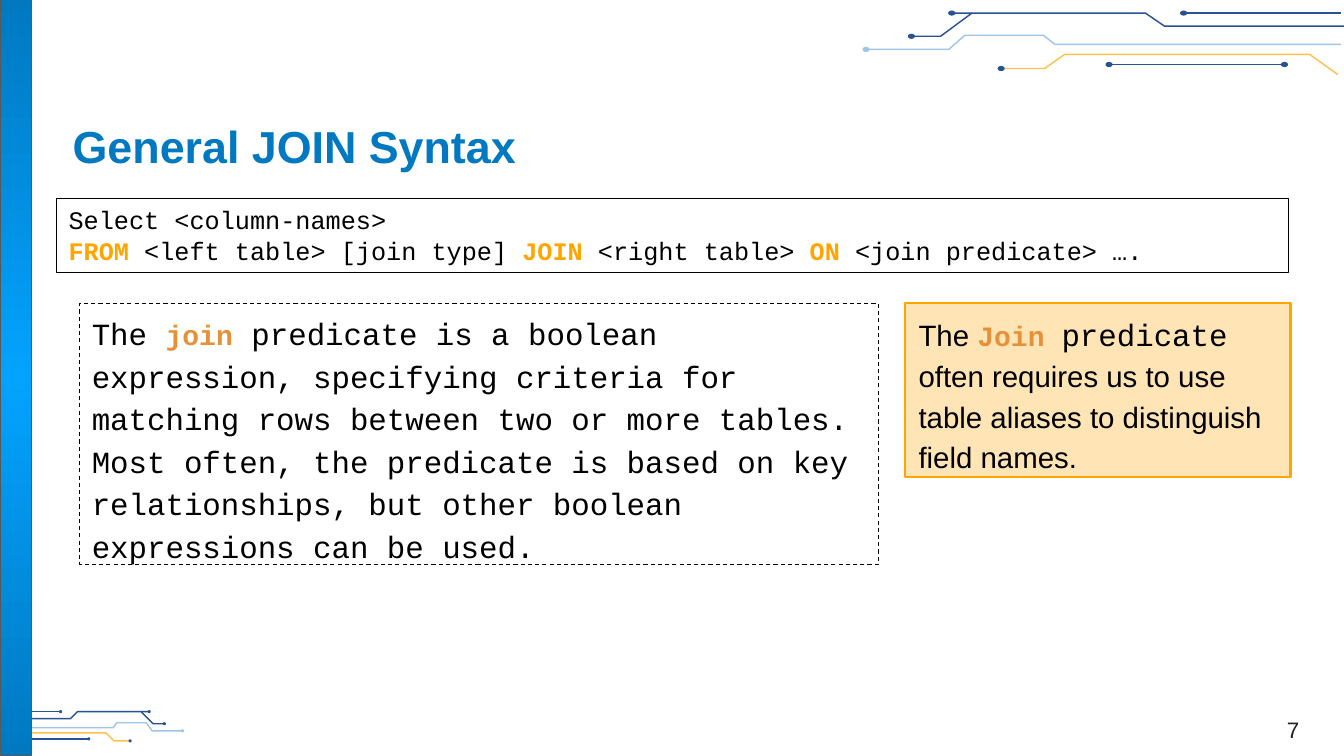
from lxml import etree
from pptx import Presentation
from pptx import util as u
from pptx.dml.color import RGBColor
from pptx.enum import dml, shapes, text
from pptx.oxml.ns import qn

CELL = 9144  # the slide is a grid of 1333 columns by 750 rows
NAVY, SKY, GOLD = "285293", "9FC5E8", "FEC14F"
BLUE, AMBER, RUST, BLACK = "0079C0", "FFA500", "E69138", "000000"
MONO, SANS = "Courier New", "Arial"


def rgb(code):
    return RGBColor.from_string(code)


def write(para, parts):
    """Fill a paragraph with (words, font, size, colour, bold) runs."""
    for words, font, size, color, bold in parts:
        run = para.add_run()
        run.text = words
        run.font.name = font
        run.font.size = u.Pt(size)
        run.font.color.rgb = rgb(color)
        run.font.bold = bold


deck = Presentation()
deck.slide_width, deck.slide_height = 1333 * CELL, 750 * CELL
slide = deck.slides.add_slide(deck.slide_layouts[5])
items = slide.shapes

# Circuit traces: colour, then points in grid cells
traces = [
    (NAVY, [(4, 713), (70, 713), (77, 706), (148, 706)]),
    (NAVY, [(140, 706), (152, 718), (163, 718)]),
    (NAVY, [(0, 706), (60, 706)]),
    (GOLD, [(1, 738), (12, 727), (105, 727), (113, 735), (129, 735)]),
    (NAVY, [(21, 733), (88, 733)]),
    (SKY, [(8, 722), (112, 722), (116, 717), (145, 717), (151, 725), (181, 725)]),
    (NAVY, [(1333, 26), (1155, 26), (1136, 13), (944, 13)]),
    (NAVY, [(964, 13), (933, 36), (904, 36)]),
    (NAVY, [(1330, 13), (1174, 13)]),
    (GOLD, [(1327, 74), (1299, 54), (1056, 54), (1036, 68), (993, 68)]),
    (NAVY, [(1274, 64), (1100, 64)]),
    (SKY, [(1330, 44), (1046, 44), (1035, 35), (957, 35), (941, 49), (859, 49)]),
]
for color, points in traces:
    if len(points) == 2:
        ends = [CELL * n for point in points for n in point]
        trace = items.add_connector(shapes.MSO_CONNECTOR.STRAIGHT, *ends)
        etree.SubElement(trace._element.spPr, qn("a:effectLst"))
    else:
        pen = items.build_freeform(*points[0], scale=CELL)
        pen.add_line_segments(points[1:], close=False)
        trace = pen.convert_to_shape()
        trace.shadow.inherit = False
        trace.fill.background()
    trace.line.color.rgb = rgb(color)
    trace.line.width = u.Pt(1.03)

# Round ends: width and height, then colour and centres
dots = [
    (2, 2, NAVY, [(148, 706), (163, 718), (60, 706), (129, 735), (21, 733), (88, 733)]),
    (2, 2, SKY, [(181, 725)]),
    (6, 4, NAVY, [(944, 13), (904, 36), (1174, 13), (993, 68), (1274, 64), (1100, 64)]),
    (6, 4, SKY, [(859, 49)]),
]
for wide, high, color, spots in dots:
    for x, y in spots:
        dot = items.add_shape(shapes.MSO_SHAPE.OVAL, (x - wide // 2) * CELL,
                              (y - high // 2) * CELL, wide * CELL, high * CELL)
        dot.shadow.inherit = False
        dot.fill.solid()
        dot.fill.fore_color.rgb = rgb(color)
        dot.line.color.rgb = rgb(color)
        dot.line.width = u.Pt(0.75)

# Side bar, glowing from its centre
bar = items.add_shape(shapes.MSO_SHAPE.RECTANGLE, 0, 0, 31 * CELL, 750 * CELL)
bar.shadow.inherit = False
bar.line.color.rgb = rgb("595959")
bar.line.width = u.Pt(0.75)
bar.fill.gradient()
for stop, color in zip(bar.fill.gradient_stops, ("03A3FF", BLUE)):
    stop.color.rgb = rgb(color)
grad = bar._element.spPr.find(qn("a:gradFill"))
grad.remove(grad.find(qn("a:lin")))
glow = etree.SubElement(grad, qn("a:path"), {"path": "circle"})
etree.SubElement(glow, qn("a:fillToRect"), dict.fromkeys("ltrb", "50000"))

title = items.title
title.left, title.top, title.width, title.height = [CELL * n for n in (62, 106, 1184, 77)]
frame = title.text_frame
frame.auto_size = text.MSO_AUTO_SIZE.NONE
frame.vertical_anchor = text.MSO_ANCHOR.MIDDLE
frame.margin_left = frame.margin_right = frame.margin_top = frame.margin_bottom = 10 * CELL
frame.paragraphs[0].alignment = text.PP_ALIGN.LEFT
write(frame.paragraphs[0], [("General JOIN Syntax", SANS, 32, BLUE, True)])

# Text boxes: place, side and top margins, line spacing, outline, paragraphs
syntax = [
    [("Select <column-names>", MONO, 18, BLACK, False)],
    [("FROM", MONO, 18, AMBER, True),
     (" <left table> [join type] ", MONO, 18, BLACK, False),
     ("JOIN", MONO, 18, AMBER, True),
     (" <right table> ", MONO, 18, BLACK, False),
     ("ON", MONO, 18, AMBER, True),
     (" <join predicate> ….", MONO, 18, BLACK, False)],
]
meaning = [[
    ("The ", MONO, 22, BLACK, False),
    ("join", MONO, 20, RUST, True),
    (" ", MONO, 22, BLACK, True),
    ("predicate is a boolean expression, specifying criteria for matching rows "
     "between two or more tables. Most often, the predicate is based on key "
     "relationships, but other boolean expressions can be used.", MONO, 22, BLACK, False),
]]
advice = [[
    ("The ", SANS, 21, BLACK, False),
    ("Join ", MONO, 20, RUST, True),
    ("predicate ", MONO, 22, BLACK, False),
    ("often requires us to use table aliases to distinguish field names.",
     SANS, 21, BLACK, False),
]]
boxes = [
    ((56, 197, 1222, 73), 12, 6, 1, BLACK, 0.75, syntax),
    ((79, 301, 792, 259), 12, 6, 1.15, BLACK, 0.75, meaning),
    ((898, 301, 382, 172), 13, 7, 1.15, AMBER, 1.5, advice),
]
for place, side, top, space, color, weight, paras in boxes:
    box = items.add_shape(shapes.MSO_SHAPE.RECTANGLE, *[CELL * n for n in place])
    box.shadow.inherit = False
    box.line.color.rgb = rgb(color)
    box.line.width = u.Pt(weight)
    box.fill.background()
    if paras is meaning:
        box.line.dash_style = dml.MSO_LINE.DASH
    if paras is advice:
        box.fill.solid()
        box.fill.fore_color.rgb = rgb(AMBER)
        tint = box._element.spPr.find(qn("a:solidFill"))[0]
        etree.SubElement(tint, qn("a:alpha"), val="29000")
    frame = box.text_frame
    frame.word_wrap = True
    frame.vertical_anchor = text.MSO_ANCHOR.TOP
    frame.margin_left = frame.margin_right = side * CELL
    frame.margin_top = frame.margin_bottom = top * CELL
    for row, parts in enumerate(paras):
        para = frame.add_paragraph() if row else frame.paragraphs[0]
        para.alignment = text.PP_ALIGN.LEFT
        para.line_spacing = float(space)
        write(para, parts)

page = items.add_textbox(*[CELL * n for n in (1240, 683, 85, 59)])
frame = page.text_frame
frame.word_wrap = True
frame.vertical_anchor = text.MSO_ANCHOR.BOTTOM
frame.paragraphs[0].alignment = text.PP_ALIGN.CENTER
write(frame.paragraphs[0], [("7", SANS, 16, "222222", False)])

deck.save("out.pptx")
